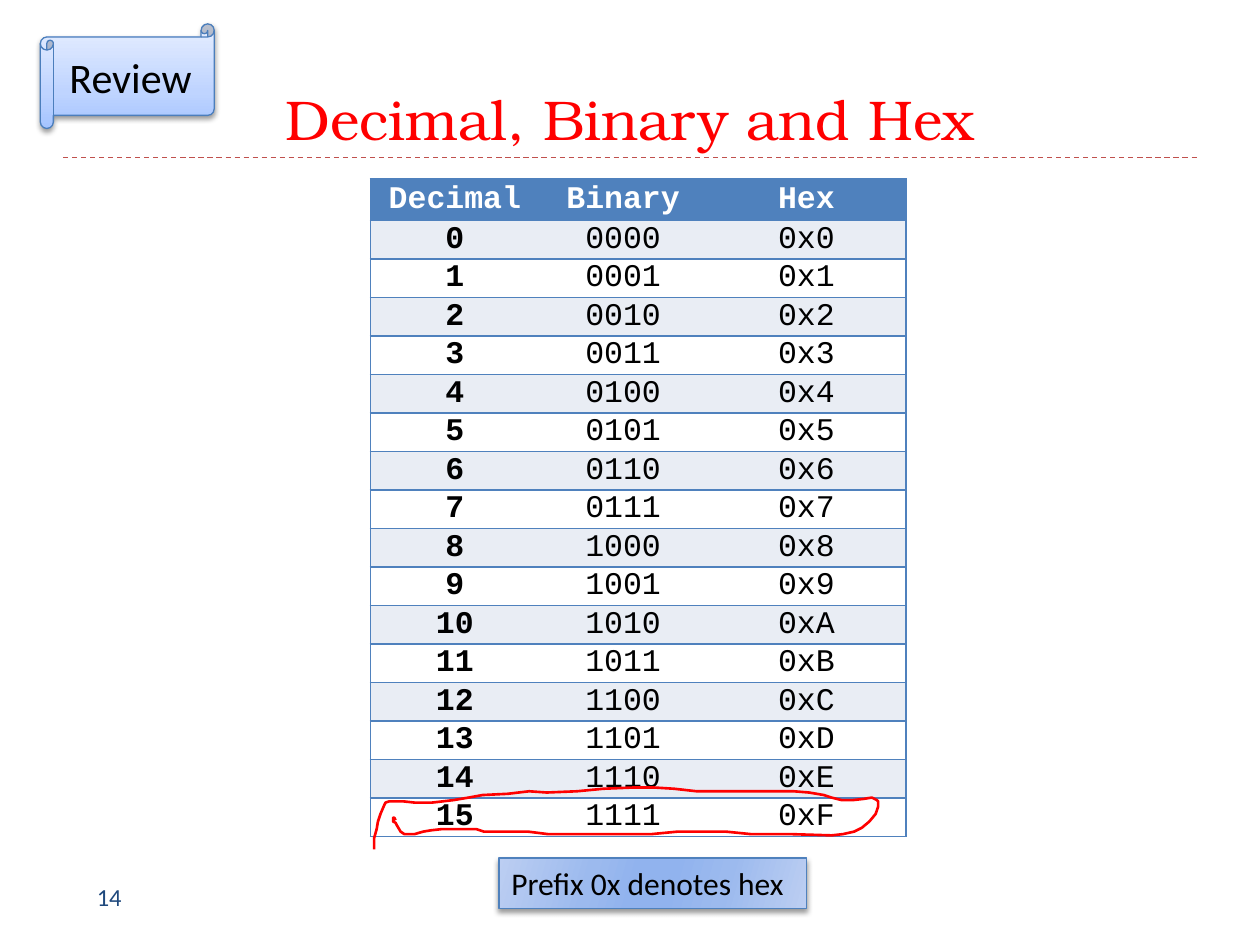
"""Build a review slide that tabulates decimal, binary and hex values."""
import pptx
import pptx.dml.color
import pptx.enum.dml
import pptx.enum.shapes
import pptx.enum.text
import pptx.oxml
import pptx.oxml.ns
import pptx.util
from pptx.util import Inches

RGBColor = pptx.dml.color.RGBColor
Pt = pptx.util.Pt
ALIGN = pptx.enum.text.PP_ALIGN
ANCHOR = pptx.enum.text.MSO_ANCHOR
SHAPE = pptx.enum.shapes.MSO_SHAPE
RED = RGBColor(0xFF, 0x00, 0x00)
RULE_RED = RGBColor(0xC0, 0x50, 0x4D)
NAVY = RGBColor(0x1F, 0x49, 0x7D)
BLUE = RGBColor(0x4F, 0x81, 0xBD)
SCROLL_BLUE = RGBColor(0x4B, 0x7E, 0xBC)
BAND = RGBColor(0xE9, 0xED, 0xF4)
WHITE = RGBColor(0xFF, 0xFF, 0xFF)
BLACK = RGBColor(0x00, 0x00, 0x00)
SCROLL_STOPS = [(0, RGBColor(0xA4, 0xC4, 0xFF)), (35, RGBColor(0xBF, 0xD4, 0xFF)),
                (100, RGBColor(0xE6, 0xEE, 0xFF))]
EDGE, MIDDLE, CENTRE = (RGBColor(0xBC, 0xCE, 0xF2), RGBColor(0x9C, 0xBA, 0xEE),
                        RGBColor(0x91, 0xB3, 0xEE))
NOTE_STOPS = [(0, EDGE), (30, MIDDLE), (45, CENTRE), (55, CENTRE), (73, MIDDLE), (100, EDGE)]
NAMESPACE = pptx.oxml.ns.nsdecls("a")


def write_text(frame, text, alignment, size, font_name, colour, bold=False):
    paragraph = frame.paragraphs[0]
    paragraph.text = text
    paragraph.alignment = alignment
    font = paragraph.runs[0].font
    for name, value in {"size": Pt(size), "name": font_name, "bold": bold}.items():
        setattr(font, name, value)
    font.color.rgb = colour


def style_box(shape, stops, angle, line_colour, opacity, blur, distance):
    shape.fill.gradient()
    shape.fill.gradient_angle = angle
    stop_list = shape.element.spPr.find(".//" + pptx.oxml.ns.qn("a:gsLst"))
    for stop in list(stop_list):
        stop_list.remove(stop)
    for position, colour in stops:
        stop_list.append(pptx.oxml.parse_xml(
            f'<a:gs {NAMESPACE} pos="{position * 1000}"><a:srgbClr val="{colour}"/></a:gs>'))
    shape.line.color.rgb = line_colour
    shape.line.width = Pt(0.75)
    shape.shadow.inherit = False
    shape.element.spPr.find(pptx.oxml.ns.qn("a:effectLst")).append(pptx.oxml.parse_xml(
        f'<a:outerShdw {NAMESPACE} blurRad="{Pt(blur)}" dist="{Pt(distance)}" dir="5400000" '
        f'rotWithShape="0"><a:srgbClr val="{BLACK}"><a:alpha val="{opacity * 1000}"/>'
        '</a:srgbClr></a:outerShdw>'))


presentation = pptx.Presentation()
presentation.slide_width = Inches(10)
presentation.slide_height = Inches(7.5)
slide = presentation.slides.add_slide(presentation.slide_layouts[6])
shapes = slide.shapes

rule = shapes.add_connector(pptx.enum.shapes.MSO_CONNECTOR.STRAIGHT,
                            Inches(0.5), Inches(1.25), Inches(9.5), Inches(1.25))
for name, value in {"width": Pt(0.75), "dash_style": pptx.enum.dml.MSO_LINE.DASH}.items():
    setattr(rule.line, name, value)
rule.line.color.rgb = RULE_RED
rule.element.spPr.append(pptx.oxml.parse_xml(f"<a:effectLst {NAMESPACE}/>"))

title = shapes.add_textbox(Inches(0.5), Inches(0.17), Inches(9), Inches(1.08))
title.text_frame.word_wrap = True
title.text_frame.vertical_anchor = ANCHOR.BOTTOM
write_text(title.text_frame, "Decimal, Binary and Hex", ALIGN.CENTER, 32, "TeX Gyre Bonum", RED)

page_number = shapes.add_textbox(Inches(0.67), Inches(6.95), Inches(2.17), Inches(0.4))
page_number.text_frame.word_wrap = True
write_text(page_number.text_frame, "14", ALIGN.LEFT, 14, "Calibri", NAVY)

rows = [("Decimal", "Binary", "Hex")]
rows += [(str(number), f"{number:04b}", f"0x{number:X}") for number in range(16)]
table = shapes.add_table(len(rows), 3, Inches(2.94), Inches(1.42),
                         Inches(4.25), Inches(5.22)).table
for column, width in zip(table.columns, (1.34, 1.33, 1.58)):
    column.width = Inches(width)
for row_index, values in enumerate(rows):
    is_header = row_index == 0
    table.rows[row_index].height = Inches(0.33) if is_header else Inches((5.22 - 0.33) / 16)
    for column_index, value in enumerate(values):
        cell = table.cell(row_index, column_index)
        cell_format = {"margin_left": Inches(0.07), "margin_right": Inches(0.07),
                       "margin_top": 0, "margin_bottom": 0, "vertical_anchor": ANCHOR.MIDDLE}
        for name, setting in cell_format.items():
            setattr(cell, name, setting)
        write_text(cell.text_frame, value, ALIGN.CENTER, 18, "Courier New",
                   WHITE if is_header else BLACK, is_header or column_index == 0)
        borders = {"L": column_index == 0, "R": column_index == 2, "T": True, "B": True}
        for side, visible in borders.items():
            paint = (f'<a:solidFill><a:srgbClr val="{BLUE}"/></a:solidFill>'
                     if visible else "<a:noFill/>")
            cell._tc.get_or_add_tcPr().append(pptx.oxml.parse_xml(
                f'<a:ln{side} {NAMESPACE} w="{Pt(1)}">{paint}</a:ln{side}>'))
        cell.fill.solid()
        cell.fill.fore_color.rgb = BLUE if is_header else BAND if row_index % 2 else WHITE

note = shapes.add_shape(SHAPE.RECTANGLE, Inches(3.96), Inches(6.81), Inches(2.44), Inches(0.4))
style_box(note, NOTE_STOPS, 344, BLUE, 40, 3, 2)
note_format = {"word_wrap": False, "vertical_anchor": ANCHOR.TOP,
               "auto_size": pptx.enum.text.MSO_AUTO_SIZE.SHAPE_TO_FIT_TEXT}
for name, value in note_format.items():
    setattr(note.text_frame, name, value)
write_text(note.text_frame, "Prefix 0x denotes hex", ALIGN.LEFT, 18, "Calibri", BLACK)

scroll = shapes.add_shape(SHAPE.HORIZONTAL_SCROLL,
                          Inches(0.32), Inches(0.19), Inches(1.38), Inches(0.83))
style_box(scroll, SCROLL_STOPS, 90, SCROLL_BLUE, 38, 3.1, 1.6)
scroll.text_frame.vertical_anchor = ANCHOR.MIDDLE
write_text(scroll.text_frame, "Review", ALIGN.CENTER, 24, "Calibri", BLACK)

ink_points = [
    (3.14, 6.51), (3.13, 6.49), (3.12, 6.49), (3.12, 6.52), (3.14, 6.53), (3.15, 6.55),
    (3.18, 6.6), (3.21, 6.62), (3.29, 6.62), (3.36, 6.6), (3.42, 6.59), (3.51, 6.58),
    (3.78, 6.58), (3.84, 6.6), (4.19, 6.6), (4.35, 6.62), (5.17, 6.62), (5.38, 6.6),
    (5.76, 6.6), (5.96, 6.62), (6.28, 6.62), (6.6, 6.63), (6.69, 6.62), (6.78, 6.6),
    (6.84, 6.57), (6.9, 6.52), (6.95, 6.46), (6.97, 6.4), (6.97, 6.36), (6.96, 6.35),
    (6.92, 6.33), (6.86, 6.34), (6.77, 6.35), (6.68, 6.35), (6.6, 6.33), (6.54, 6.31),
    (6.42, 6.29), (6.3, 6.28), (5.53, 6.28), (5.35, 6.26), (5.19, 6.25), (5.03, 6.25),
    (4.79, 6.26), (4.58, 6.28), (4.34, 6.29), (4.2, 6.28), (4.03, 6.3), (3.83, 6.31),
    (3.72, 6.33), (3.6, 6.35), (3.43, 6.37), (3.29, 6.37), (3.2, 6.36), (3.09, 6.36),
    (3.06, 6.37), (3.05, 6.39), (3.02, 6.46), (3, 6.52), (2.99, 6.58), (2.97, 6.65),
    (2.97, 6.74)]
ink_points = [(Inches(x), Inches(y)) for x, y in ink_points]
builder = shapes.build_freeform(*ink_points[0])
builder.add_line_segments(ink_points[1:], close=False)
ink_loop = builder.convert_to_shape()
ink_loop.fill.background()
ink_loop.line.color.rgb = RED
ink_loop.line.width = Pt(1.5)
ink_loop.shadow.inherit = False

presentation.save("out.pptx")
